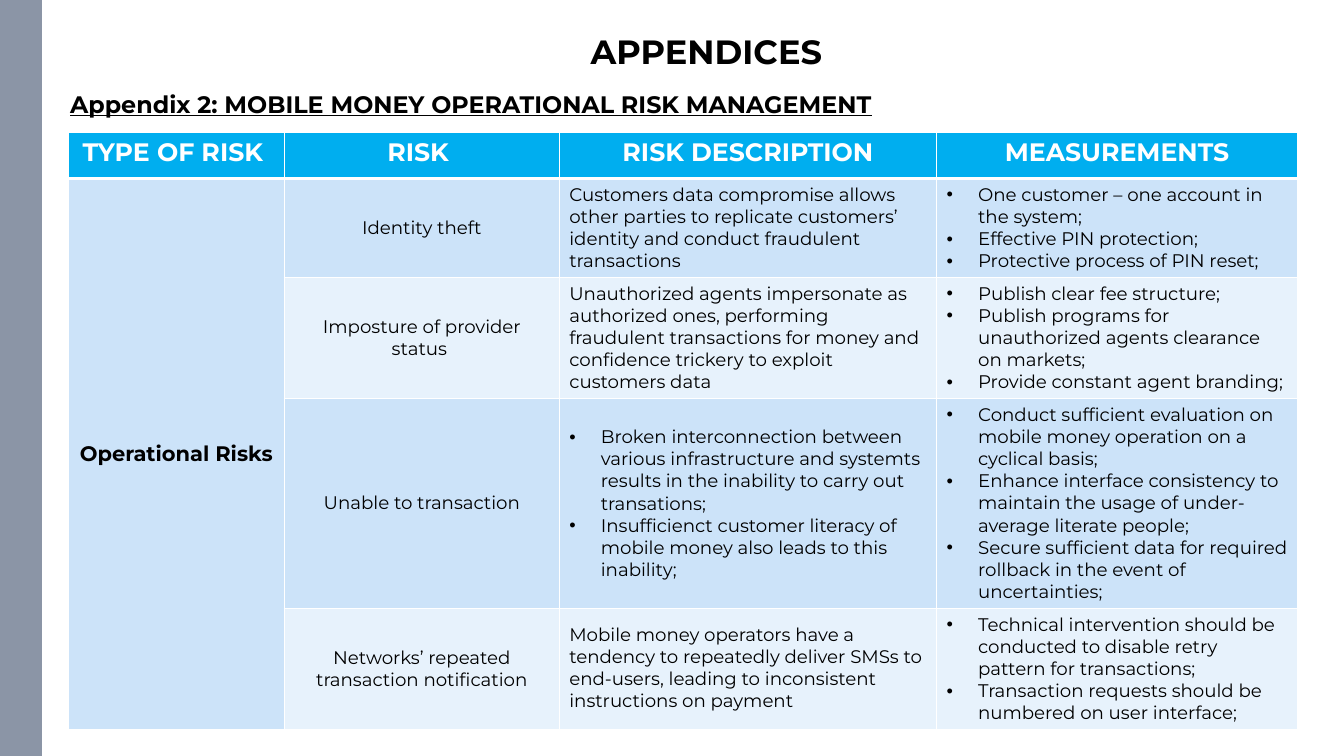
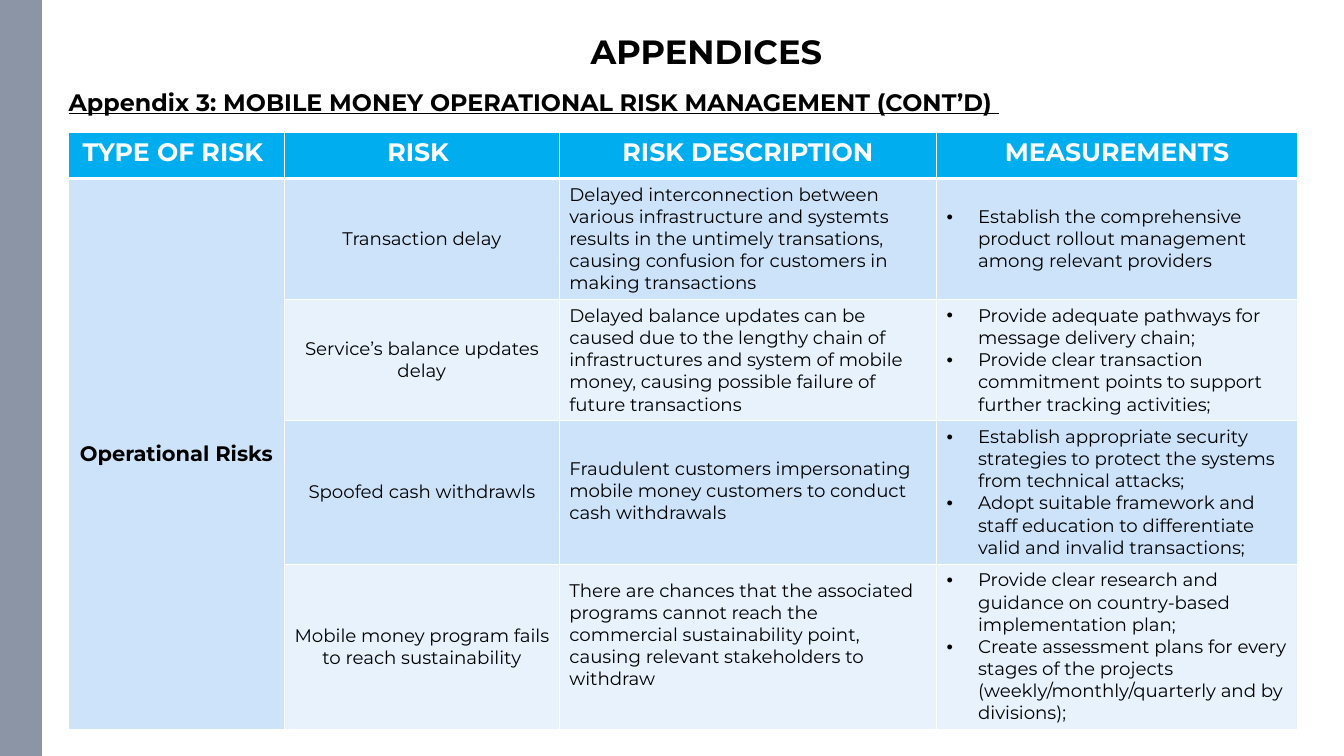
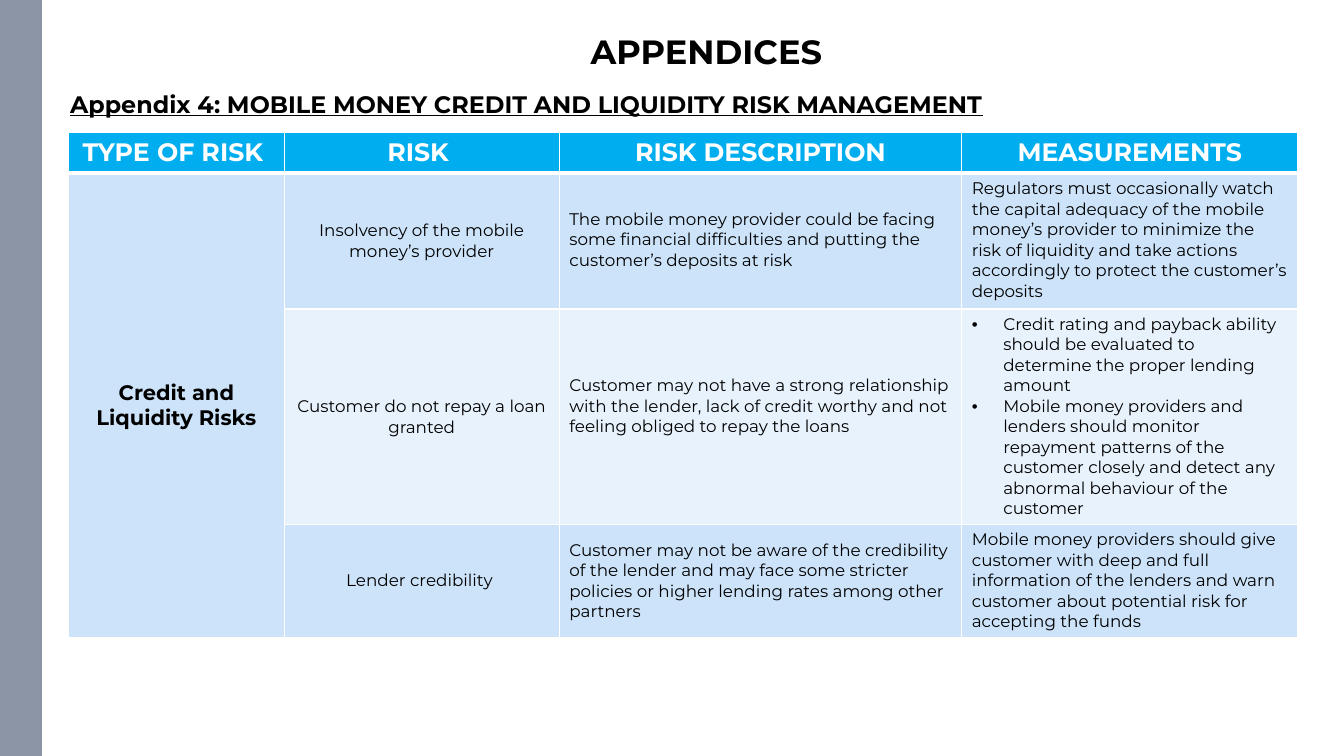
from dataclasses import dataclass

from lxml import etree
from pptx import Presentation
from pptx.dml.color import RGBColor
from pptx.enum import shapes, text
from pptx.oxml.ns import qn
from pptx.util import Pt

FONT = "Montserrat"
COLORS = {
    "band": "8B95A6",
    "header": "00AEEF",
    "odd_row": "CCE3F9",
    "even_row": "E7F2FC",
    "ink": "000000",
    "white": "FFFFFF",
}
HEADINGS = ["TYPE OF RISK ", "RISK ", "RISK DESCRIPTION", "MEASUREMENTS"]
TABLE_LEFT, TABLE_TOP = 49, 94.5
CELL_MARGIN = 3.6
BULLET_INDENT = 22.5
CENTER, LEFT = text.PP_ALIGN.CENTER, text.PP_ALIGN.LEFT
MIDDLE, TOP = text.MSO_ANCHOR.MIDDLE, text.MSO_ANCHOR.TOP


@dataclass
class Entry:
    """Paragraphs of one table cell; lead is extra space above them."""
    paragraphs: tuple
    bulleted: bool = False
    lead: float = 0


@dataclass
class Appendix:
    """Content and measures of one appendix slide."""
    heading: str
    heading_at: tuple
    risk_type: str
    columns: list
    heights: list
    size: float
    risks: list


def prose(words, lead=0):
    """Return a plain cell entry."""
    return Entry((words,), lead=lead)


def bullets(*items, lead=0):
    """Return a bulleted cell entry."""
    return Entry(items, True, lead)


APPENDICES = [
    Appendix(
        "Appendix 2: MOBILE MONEY OPERATIONAL RISK MANAGEMENT",
        (43, 37.5, 634), "Operational Risks",
        [154, 196.5, 269.5, 258], [33, 70.5, 86.5, 150, 86.5], 13,
        [
            ("Identity theft",
             prose("Customers data compromise allows other parties to replicate "
                   "customers’ identity and conduct fraudulent transactions"),
             bullets("One customer – one account in the system;",
                     "Effective PIN protection;",
                     "Protective process of PIN reset;")),
            ("Imposture of provider status ",
             prose("Unauthorized agents impersonate as authorized ones, performing "
                   "fraudulent transactions for money and confidence trickery to "
                   "exploit customers data"),
             bullets("Publish clear fee structure;",
                     "Publish programs for unauthorized agents clearance on markets;",
                     "Provide constant agent branding; ")),
            ("Unable to transaction",
             bullets("Broken interconnection between various infrastructure and "
                     "systemts results in the inability to carry out transations;",
                     "Insufficienct customer literacy of mobile money also leads to "
                     "this inability;", lead=16),
             bullets("Conduct sufficient evaluation on mobile money operation on a "
                     "cyclical basis;",
                     "Enhance interface consistency to maintain the usage of "
                     "under-average literate people;",
                     "Secure sufficient data for required rollback in the event of "
                     "uncertainties; ")),
            ("Networks’ repeated transaction notification",
             prose("Mobile money operators have a tendency to repeatedly deliver SMSs "
                   "to end-users, leading to inconsistent instructions on payment",
                   lead=7.3),
             bullets("Technical intervention should be conducted to disable retry "
                     "pattern for transactions;",
                     "Transaction requests should be numbered on user interface;")),
        ]),
    Appendix(
        "Appendix 3: MOBILE MONEY OPERATIONAL RISK MANAGEMENT (CONT’D) ",
        (42, 36, 690.5), "Operational Risks",
        [154, 196.5, 269.5, 258], [33, 86.5, 86.5, 102.5, 118], 13,
        [
            ("Transaction delay",
             prose("Delayed interconnection between various infrastructure and "
                   "systemts results in the untimely transations, causing confusion "
                   "for customers in making transactions"),
             bullets("Establish the comprehensive product rollout management among "
                     "relevant providers", lead=16)),
            ("Service’s balance updates delay",
             prose("Delayed balance updates can be caused due to the lengthy chain of "
                   "infrastructures and system of mobile money, causing possible "
                   "failure of future transactions"),
             bullets("Provide adequate pathways for message delivery chain;",
                     "Provide clear transaction commitment points to support further "
                     "tracking activities;")),
            ("Spoofed cash withdrawls",
             prose("Fraudulent customers impersonating mobile money customers to "
                   "conduct cash withdrawals ", lead=23),
             bullets("Establish appropriate security strategies to protect the systems "
                     "from technical attacks;",
                     "Adopt suitable framework and staff education to differentiate "
                     "valid and invalid transactions;")),
            ("Mobile money program fails to reach sustainability",
             prose("There are chances that the associated programs cannot reach the "
                   "commercial sustainability point, causing relevant stakeholders to "
                   "withdraw", lead=7.3),
             bullets("Provide clear research and guidance on country-based "
                     "implementation plan;",
                     "Create assessment plans for every stages of the projects "
                     "(weekly/monthly/quarterly and by divisions);")),
        ]),
    Appendix(
        "Appendix 4: MOBILE MONEY CREDIT AND LIQUIDITY RISK MANAGEMENT",
        (43, 37.5, 712), "Credit and Liquidity Risks",
        [154, 196.5, 287.5, 240], [29, 97, 154, 79.5], 12,
        [
            ("Insolvency of the mobile money’s provider",
             prose("The mobile money provider could be facing some financial "
                   "difficulties and putting the customer’s deposits at risk ",
                   lead=22),
             prose("Regulators must occasionally watch the capital adequacy of the "
                   "mobile money’s provider to minimize the risk of liquidity and take "
                   "actions accordingly to protect the customer’s deposits")),
            ("Customer do not repay a loan granted",
             prose("Customer may not have a strong relationship with the lender, lack "
                   "of credit worthy and not feeling obliged to repay the loans",
                   lead=44),
             bullets("Credit rating and payback ability should be evaluated to "
                     "determine the proper lending amount",
                     "Mobile money providers and lenders should monitor repayment "
                     "patterns of the customer closely and detect any abnormal "
                     "behaviour of the customer")),
            ("Lender credibility ",
             prose("Customer may not be aware of the credibility of the lender and may "
                   "face some stricter policies or higher lending rates among other "
                   "partners", lead=7.3),
             prose("Mobile money providers should give customer with deep and full "
                   "information of the lenders and warn customer about potential risk "
                   "for accepting the funds")),
        ]),
]


def color(name):
    """Return a named colour of the deck."""
    return RGBColor.from_string(COLORS[name])


def write(paragraph, words, size, ink="ink", bold=False, align=LEFT, underline=False):
    """Add one formatted run to a paragraph."""
    paragraph.alignment = align
    run = paragraph.add_run()
    run.text = words
    font = run.font
    font.name, font.size, font.bold = FONT, Pt(size), bold
    font.color.rgb = color(ink)
    if underline:
        font.underline = True


def add_bullet(paragraph):
    """Give a paragraph a hanging round bullet."""
    properties = paragraph._p.get_or_add_pPr()
    properties.set("marL", str(Pt(BULLET_INDENT)))
    properties.set("indent", str(-Pt(BULLET_INDENT)))
    etree.SubElement(properties, qn("a:buFont"), typeface="Arial")
    etree.SubElement(properties, qn("a:buChar"), char="•")


def set_borders(cell, top, bottom):
    """Draw white borders, one point wide at the sides."""
    properties = cell._tc.get_or_add_tcPr()
    sides = [("a:lnL", 1), ("a:lnR", 1), ("a:lnT", top), ("a:lnB", bottom)]
    for place, (side, width) in enumerate(sides):
        border = etree.Element(qn(side), w=str(Pt(width)))
        fill = etree.SubElement(border, qn("a:solidFill"))
        etree.SubElement(fill, qn("a:srgbClr"), val=COLORS["white"])
        properties.insert(place, border)


def fill_cell(cell, entry, size, anchor=TOP, **style):
    """Write an entry into a table cell."""
    cell.vertical_anchor = anchor
    cell.margin_top = Pt(CELL_MARGIN + entry.lead)
    frame = cell.text_frame
    for index, words in enumerate(entry.paragraphs):
        paragraph = frame.add_paragraph() if index else frame.paragraphs[0]
        write(paragraph, words, size, **style)
        if entry.bulleted:
            add_bullet(paragraph)


def add_side_band(slide):
    """Add the grey band along the left edge."""
    band = slide.shapes.add_shape(
        shapes.MSO_SHAPE.RECTANGLE, 0, 0, Pt(29.5), Pt(540))
    band.shadow.inherit = False
    band.fill.solid()
    band.fill.fore_color.rgb = color("band")
    band.line.color.rgb = color("band")
    band.line.width = Pt(1)


def set_title(slide):
    """Place and fill the shared title."""
    title = slide.shapes.title
    title.left, title.top, title.width, title.height = Pt(49), 0, Pt(911), Pt(73)
    frame = title.text_frame
    frame.auto_size = text.MSO_AUTO_SIZE.NONE
    frame.vertical_anchor = MIDDLE
    write(frame.paragraphs[0], "APPENDICES", 24, bold=True, align=CENTER)


def add_heading(slide, appendix):
    """Add the underlined appendix heading."""
    left, top, width = appendix.heading_at
    heading = slide.shapes.add_textbox(Pt(left), Pt(top), Pt(width), Pt(73))
    frame = heading.text_frame
    frame.word_wrap = True
    frame.vertical_anchor = MIDDLE
    write(frame.paragraphs[0], appendix.heading, 17, bold=True, underline=True)


def add_risk_table(slide, appendix):
    """Add the table of risks with the risk type merged down its first column."""
    columns, heights = appendix.columns, appendix.heights
    table = slide.shapes.add_table(
        len(heights), len(columns), Pt(TABLE_LEFT), Pt(TABLE_TOP),
        Pt(sum(columns)), Pt(sum(heights))).table
    for column, width in zip(table.columns, columns):
        column.width = Pt(width)
    for number, (row, height) in enumerate(zip(table.rows, heights)):
        row.height = Pt(height)
        shade = "odd_row" if number % 2 else "even_row"
        for cell in row.cells:
            cell.fill.solid()
            cell.fill.fore_color.rgb = color(shade if number else "header")
            set_borders(cell, 3 if number == 1 else 1, 1 if number else 3)

    for column, words in enumerate(HEADINGS):
        fill_cell(table.cell(0, column), prose(words), 18,
                  ink="white", bold=True, align=CENTER)
    risk_type = table.cell(1, 0)
    risk_type.merge(table.cell(len(heights) - 1, 0))
    fill_cell(risk_type, prose(appendix.risk_type), 15, MIDDLE,
              bold=True, align=CENTER)
    for number, (risk, description, measures) in enumerate(appendix.risks, 1):
        fill_cell(table.cell(number, 1), prose(risk), appendix.size, MIDDLE,
                  align=CENTER)
        fill_cell(table.cell(number, 2), description, appendix.size)
        fill_cell(table.cell(number, 3), measures, appendix.size)


def main():
    """Build and save the appendix slides."""
    deck = Presentation()
    deck.slide_width, deck.slide_height = Pt(960), Pt(540)
    title_only = deck.slide_layouts[5]
    for appendix in APPENDICES:
        slide = deck.slides.add_slide(title_only)
        add_side_band(slide)
        set_title(slide)
        add_risk_table(slide, appendix)
        add_heading(slide, appendix)
    deck.save("out.pptx")


main()
